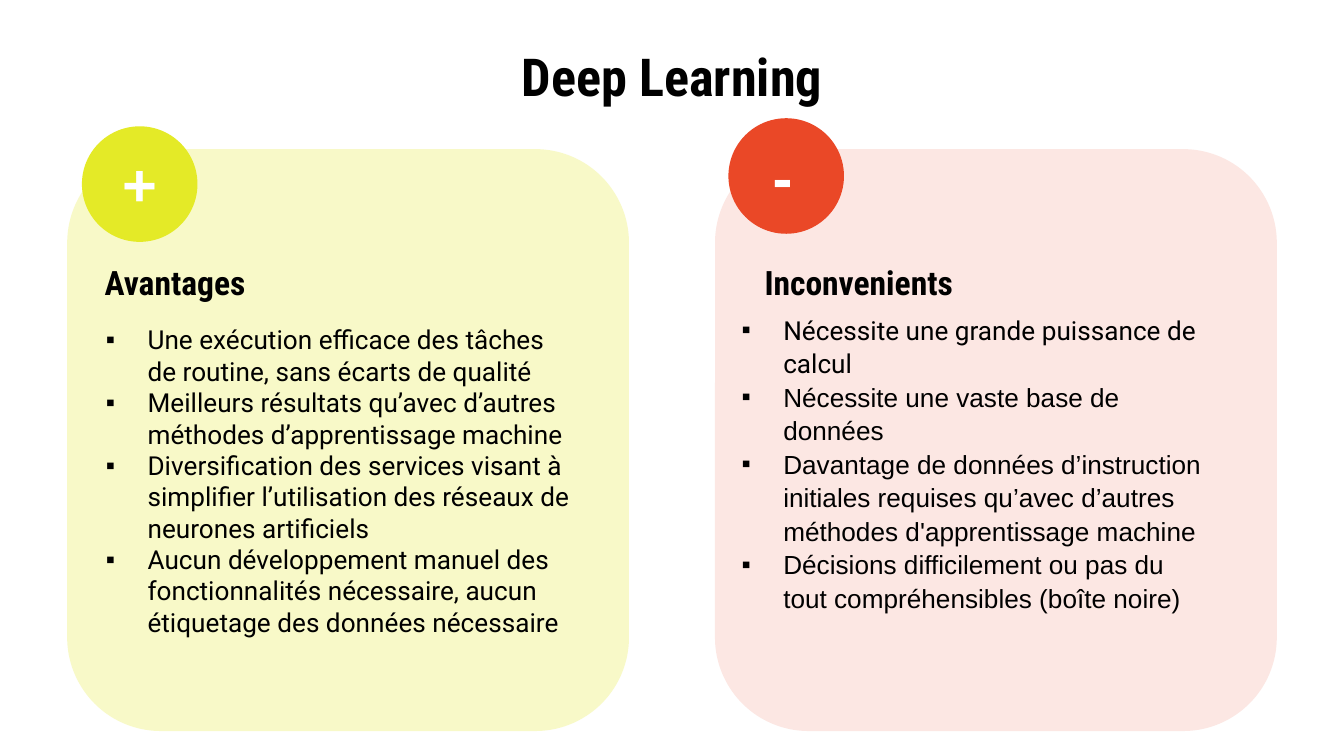
import pptx
import pptx.util
import pptx.dml.color
import pptx.enum.shapes
import pptx.enum.text
from lxml import etree
from pptx.oxml.ns import qn

RGBColor = pptx.dml.color.RGBColor
Inches = pptx.util.Inches
Shape = pptx.enum.shapes.MSO_SHAPE
Anchor = pptx.enum.text.MSO_ANCHOR
Align = pptx.enum.text.PP_ALIGN

BLACK = RGBColor(0x00, 0x00, 0x00)
WHITE = RGBColor(0xFF, 0xFF, 0xFF)
LIME = RGBColor(0xE4, 0xEA, 0x27)
RED = RGBColor(0xEA, 0x48, 0x27)

WIDTH = 10
HEIGHT = WIDTH * 9 / 16
MARGIN = 0.5
CARD_WIDTH, CARD_HEIGHT, CARD_TOP = 4.18, 4.33, 1.11
CARD_LEFT = (MARGIN, WIDTH - MARGIN - CARD_WIDTH)
BADGE = 0.86
INDENT = 0.31

ADVANTAGES = [
    ("Une exécution efficace des tâches de routine, sans écarts de qualité", "Roboto"),
    ("Meilleurs résultats qu’avec d’autres méthodes d’apprentissage machine", "Roboto"),
    ("Diversification des services visant à simplifier l’utilisation des réseaux "
     "de neurones artificiels", "Roboto"),
    ("Aucun développement manuel des fonctionnalités nécessaire, aucun étiquetage "
     "des données nécessaire", "Roboto"),
]
DRAWBACKS = [
    ("Nécessite une grande puissance de calcul", "Roboto"),
    ("Nécessite une vaste base de données", "Arial"),
    ("Davantage de données d’instruction initiales requises qu’avec d’autres "
     "méthodes d'apprentissage machine", "Arial"),
    ("Décisions difficilement ou pas du tout compréhensibles (boîte noire)", "Arial"),
]


def add_filled(page, preset, place, color, opacity=100):
    """Borderless shape, see-through when opacity is below 100 percent."""
    shape = page.shapes.add_shape(preset, *map(Inches, place))
    shape.shadow.inherit = False
    shape.fill.solid()
    shape.fill.fore_color.rgb = color
    shape.line.fill.background()
    if opacity < 100:
        tint = shape.fill._xPr.find(qn("a:solidFill"))[0]
        etree.SubElement(tint, qn("a:alpha"), val=str(opacity * 1000))


def add_box(page, place, inset_y=0.1, anchor=Anchor.MIDDLE, wrap=True):
    frame = page.shapes.add_textbox(*map(Inches, place)).text_frame
    frame.word_wrap = wrap
    frame.vertical_anchor = anchor
    frame.margin_left = frame.margin_right = Inches(0.1)
    frame.margin_top = frame.margin_bottom = Inches(inset_y)
    return frame


def add_span(para, text, font, size, color=BLACK, bold=False):
    span = para.add_run()
    span.text = text
    span.font.name = font
    span.font.size = pptx.util.Pt(size)
    span.font.bold = bold
    span.font.color.rgb = color


def add_bullet(para):
    props = para._p.get_or_add_pPr()
    props.set("marL", str(Inches(INDENT)))
    props.set("indent", str(-Inches(INDENT)))
    color = etree.SubElement(props, qn("a:buClr"))
    etree.SubElement(color, qn("a:srgbClr"), val=str(BLACK))
    etree.SubElement(props, qn("a:buFont"), typeface="Arial")
    etree.SubElement(props, qn("a:buChar"), char="▪")


def add_list(page, left, top, items, spacing=None, space_after=None):
    frame = add_box(page, (left, top, 3.66, 1.24), anchor=Anchor.TOP)
    for index, (text, font) in enumerate(items):
        para = frame.paragraphs[0] if index == 0 else frame.add_paragraph()
        add_bullet(para)
        if spacing:
            para.line_spacing = spacing
        add_span(para, text, font, 14)
    if space_after:
        para.space_after = pptx.util.Pt(space_after)


def add_heading(page, left, text):
    frame = add_box(page, (left, 1.92, 2.31, 0.36))
    add_span(frame.paragraphs[0], text, "Roboto Condensed", 18, bold=True)


def add_badge(page, left, top, color, sign, sign_place):
    add_filled(page, Shape.OVAL, (left, top, BADGE, BADGE), color)
    frame = add_box(page, sign_place, inset_y=0.05, anchor=Anchor.TOP, wrap=False)
    add_span(frame.paragraphs[0], sign, "Arial", 32, WHITE, bold=True)


def main():
    deck = pptx.Presentation()
    deck.slide_width, deck.slide_height = Inches(WIDTH), Inches(HEIGHT)
    page = deck.slides.add_slide(deck.slide_layouts[6])

    # Cards
    for left, color, opacity in zip(CARD_LEFT, (LIME, RED), (25, 13)):
        add_filled(page, Shape.ROUNDED_RECTANGLE,
                   (left, CARD_TOP, CARD_WIDTH, CARD_HEIGHT), color, opacity)

    # Title
    title = add_box(page, (MARGIN, 0.36, WIDTH - 2 * MARGIN, 0.41)).paragraphs[0]
    title.alignment = Align.CENTER
    add_span(title, "Deep Learning", "Roboto Condensed", 28, bold=True)

    # Advantages
    add_heading(page, 0.68, "Avantages")
    add_list(page, 0.69, 2.31, ADVANTAGES)
    add_badge(page, 0.61, 0.94, LIME, "+", (0.81, 1.04, 0.46, 0.64))

    # Drawbacks
    add_heading(page, 5.59, "Inconvenients")
    add_list(page, 5.42, 2.22, DRAWBACKS, spacing=1.07, space_after=8)
    add_badge(page, 5.42, 0.88, RED, "-", (5.65, 0.99, 0.29, 0.64))

    deck.save("out.pptx")


if __name__ == "__main__":
    main()
